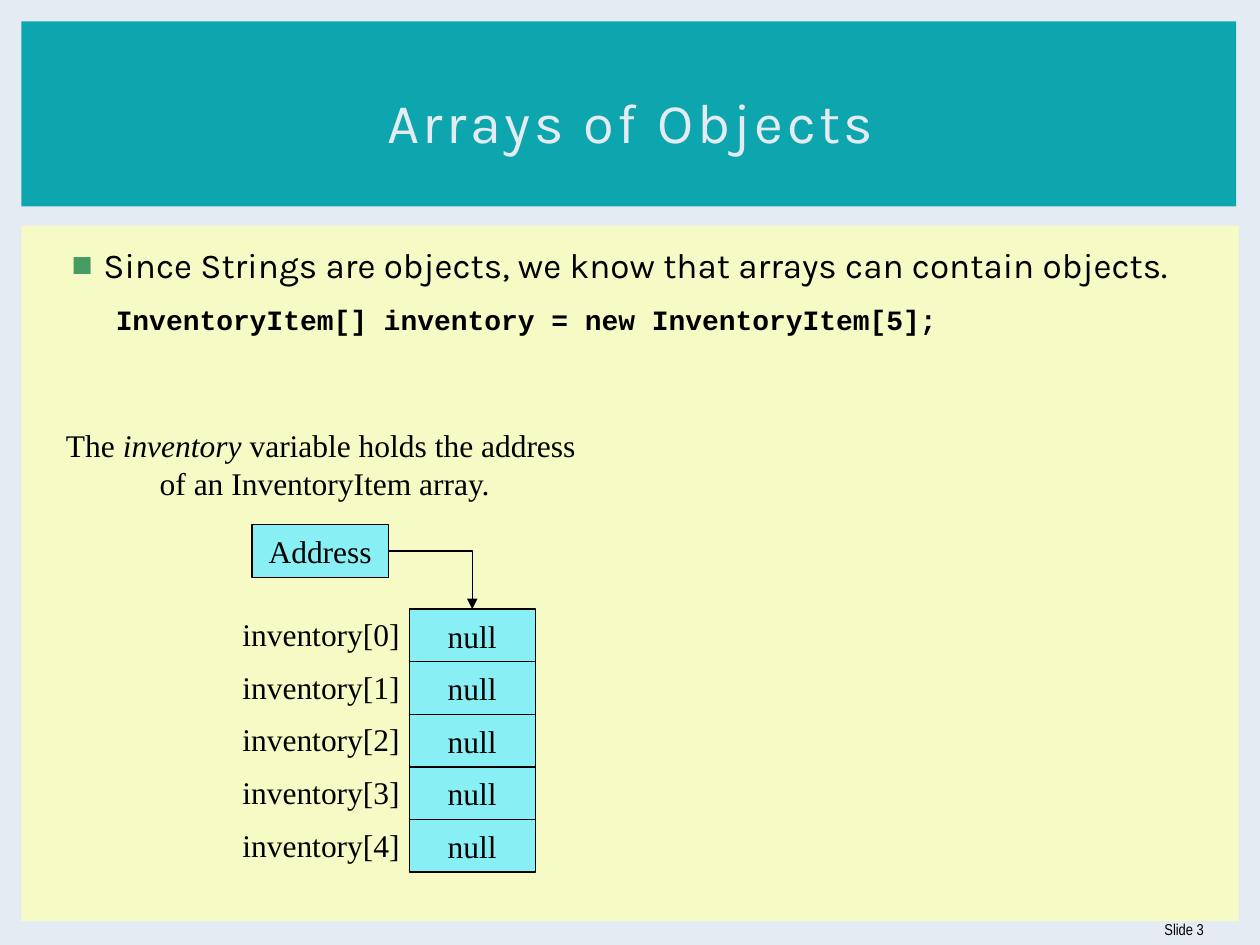
from lxml import etree
from pptx import Presentation
from pptx import util as u
from pptx.dml.color import RGBColor
from pptx.enum import shapes, text
from pptx.oxml import ns

BACKDROP = RGBColor(0xE5, 0xEB, 0xF2)
PANEL = RGBColor(0xF6, 0xFB, 0xC5)
BANNER = RGBColor(0x0E, 0xA6, 0xAE)
CELL = RGBColor(0x88, 0xF0, 0xF5)
BULLET = RGBColor(0x47, 0x9B, 0x63)
BLACK = RGBColor(0, 0, 0)

LEFT, CENTER, RIGHT = text.PP_ALIGN.LEFT, text.PP_ALIGN.CENTER, text.PP_ALIGN.RIGHT
DIAGRAM_FONT = "Times New Roman"


def child(parent, tag, **attributes):
    return etree.SubElement(parent, ns.qn(tag), attributes)


class SlideBuilder:
    """Holds the style and the slide being filled."""

    def __init__(self, slide):
        self.slide = slide
        slide.background.fill.solid()
        slide.background.fill.fore_color.rgb = BACKDROP

    def style(self, paragraph, font, size, color=BLACK, align=LEFT, bold=False):
        paragraph.alignment = align
        for run in paragraph.runs:
            run.font.name, run.font.size = font, u.Pt(size)
            run.font.bold, run.font.color.rgb = bold, color

    def place(self, shape, box):
        shape.left, shape.top, shape.width, shape.height = map(u.Cm, box)

    def rectangle(self, box, fill):
        rect = self.slide.shapes.add_shape(shapes.MSO_SHAPE.RECTANGLE, *map(u.Cm, box))
        rect.shadow.inherit = False
        rect.fill.solid()
        rect.fill.fore_color.rgb = fill
        return rect

    def panel(self, box, fill):
        """A borderless rectangle behind the placeholders."""
        rect = self.rectangle(box, fill)
        rect.line.fill.background()
        self.slide.shapes._spTree.insert(2, rect._element)

    def cell(self, box, value):
        rect = self.rectangle(box, CELL)
        rect.line.color.rgb, rect.line.width = BLACK, u.Pt(0.75)
        frame = rect.text_frame
        frame.text, frame.word_wrap = value, False
        frame.vertical_anchor = text.MSO_ANCHOR.MIDDLE
        self.style(frame.paragraphs[0], DIAGRAM_FONT, 18, align=CENTER)

    def label(self, box, words, font=DIAGRAM_FONT, size=18, align=RIGHT, wrap=True):
        frame = self.slide.shapes.add_textbox(*map(u.Cm, box)).text_frame
        frame.text, frame.word_wrap = words, wrap
        for paragraph in frame.paragraphs:
            self.style(paragraph, font, size, align=align)
        return frame

    def title(self, box, words):
        heading = self.slide.shapes.title
        self.place(heading, box)
        frame = heading.text_frame
        frame.text = words
        frame.vertical_anchor = text.MSO_ANCHOR.MIDDLE
        self.style(frame.paragraphs[0], "Karla", 32, BACKDROP, CENTER)
        frame.paragraphs[0].runs[0].font._element.set("spc", "200")

    def body(self, box, point, code):
        content = self.slide.placeholders[1]
        self.place(content, box)
        frame = content.text_frame
        frame.text = f"{point}\n{code}"
        bullet_line, code_line = frame.paragraphs
        code_line.level = 1
        for paragraph, margin, indent, before in ((bullet_line, 0.76, -0.64, 0),
                                                  (code_line, 1.52, -0.51, 4)):
            paragraph.space_before, paragraph.space_after = u.Pt(before), u.Pt(6)
            props = paragraph._p.get_or_add_pPr()
            props.set("marL", str(u.Cm(margin)))
            props.set("indent", str(u.Cm(indent)))
        bullet = bullet_line._p.pPr
        child(child(bullet, "a:buClr"), "a:srgbClr", val=str(BULLET))
        child(bullet, "a:buFont", typeface="Arial")
        child(bullet, "a:buChar", char="■")
        child(code_line._p.pPr, "a:buNone")
        self.style(bullet_line, "Karla", 20)
        self.style(code_line, "Courier New", 16, bold=True)

    def bent_arrow(self, start, end):
        arrow = self.slide.shapes.add_connector(
            shapes.MSO_CONNECTOR.ELBOW, *map(u.Cm, start + end))
        arrow.line.color.rgb, arrow.line.width = BLACK, u.Pt(0.75)
        props = arrow._element.spPr
        props.find(ns.qn("a:prstGeom")).set("prst", "bentConnector2")
        child(arrow.line._get_or_add_ln(), "a:tailEnd", type="triangle")
        child(props, "a:effectLst")


def main():
    deck = Presentation()
    deck.slide_width, deck.slide_height = u.Cm(25.4), u.Cm(19.05)
    page = SlideBuilder(deck.slides.add_slide(deck.slide_layouts[1]))

    # Background panels and slide number
    page.panel((0.43, 0.43, 24.49, 3.73), BANNER)
    page.panel((0.43, 4.55, 24.54, 14.02), PANEL)
    page.label((22.89, 18.41, 1.63, 0.76), "Slide 3", "Arial Narrow", 9, wrap=False)

    # Title and list
    page.title((1.07, 0.99, 23.29, 2.92), "Arrays of Objects")
    page.body((1.07, 4.78, 23.34, 12.24),
              "Since Strings are objects, we know that arrays can contain objects.",
              "InventoryItem[] inventory = new InventoryItem[5];")

    # Caption with the variable name in italics
    caption = page.label((1.07, 8.46, 10.8, 1.78), "The \n of an InventoryItem array.",
                         align=CENTER, wrap=False)
    first_line = caption.paragraphs[0]
    for words in ("inventory", " variable holds the address"):
        first_line.add_run().text = words
    page.style(first_line, DIAGRAM_FONT, 18, align=CENTER)
    first_line.runs[1].font.italic = True

    # Reference and the array it points to
    cell_height, array_left, array_top, array_width = 1.06, 8.25, 12.28, 2.54
    page.cell((5.08, 10.58, 2.75, cell_height), "Address")
    for index in range(5):
        top = array_top + index * cell_height
        page.cell((array_left, top, array_width, cell_height), "null")
        page.label((4.45, top, 3.86, 1.02), f"inventory[{index}]")
    page.bent_arrow((7.83, 10.58 + cell_height / 2),
                    (array_left + array_width / 2, array_top))

    deck.save("out.pptx")


if __name__ == "__main__":
    main()
